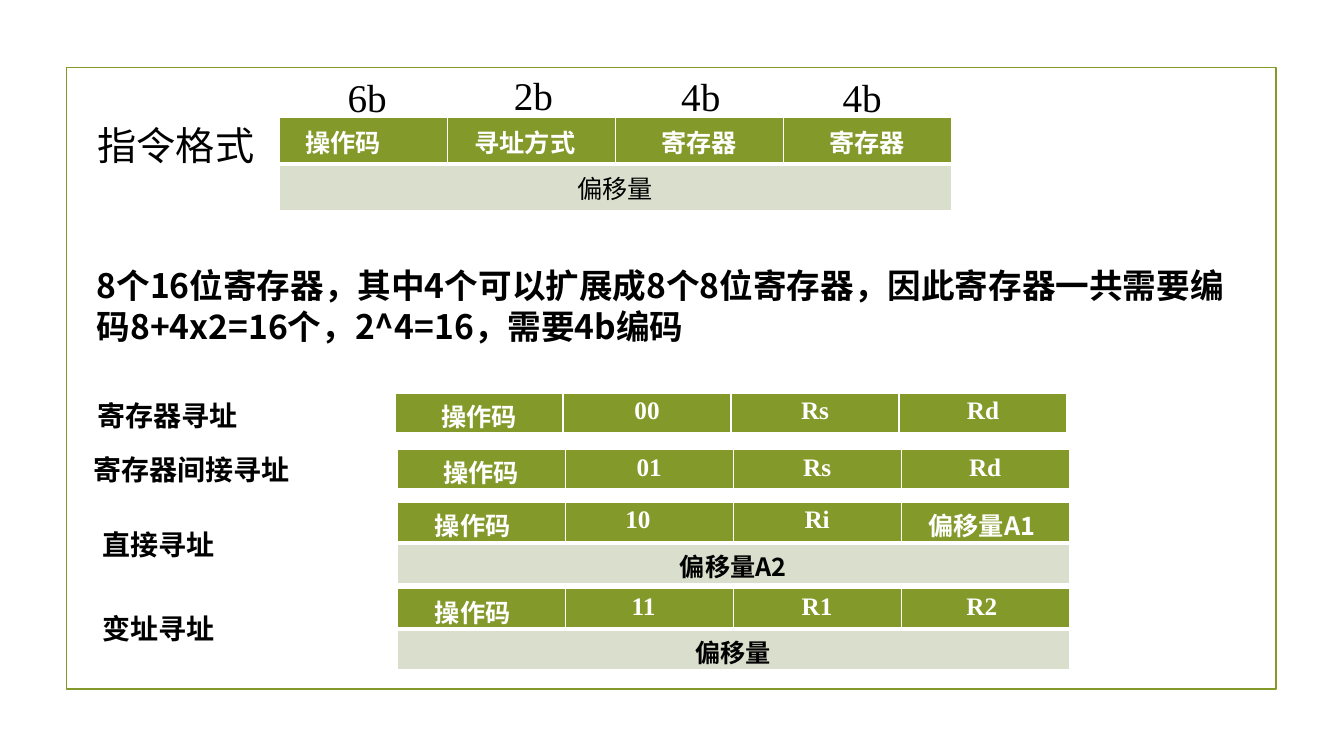
import pptx
import pptx.dml.color
import pptx.enum.shapes
import pptx.enum.text
import pptx.oxml
import pptx.oxml.ns
import pptx.util
from lxml import etree

Pt = pptx.util.Pt
ALIGN = pptx.enum.text.PP_ALIGN
ANCHOR = pptx.enum.text.MSO_ANCHOR
COLORS = {"green": "83992A", "pale": "D9DECD", "white": "FFFFFF", "black": "000000"}
SANS = "Noto Sans CJK SC"
SERIF = "Times New Roman"
COLUMN_WIDTH = 120


def rgb(name):
    return pptx.dml.color.RGBColor.from_string(COLORS[name])


def set_values(target, values):
    for name, value in values.items():
        setattr(target, name, value)


def write_text(text_frame, text, color, align=ALIGN.LEFT, line_spacing=None, **font_values):
    paragraph = text_frame.paragraphs[0]
    set_values(paragraph, {"alignment": align, "line_spacing": line_spacing})
    run = paragraph.add_run()
    run.text = text
    run.font.color.rgb = rgb(color)
    set_values(run.font, font_values)
    east_asian = etree.SubElement(run.font._element, pptx.oxml.ns.qn("a:ea"))
    east_asian.set("typeface", SANS)


def place(shape, left, top, width, height):
    set_values(shape, {"left": Pt(left), "top": Pt(top), "width": Pt(width), "height": Pt(height)})


def add_frame(slide):
    shape = slide.shapes.add_shape(
        pptx.enum.shapes.MSO_SHAPE.RECTANGLE, Pt(47.5), Pt(48.25), Pt(864), Pt(444)
    )
    shape.shadow.inherit = False
    shape.fill.background()
    shape.line.color.rgb = rgb("green")
    shape.line.width = Pt(1.25)


def fill_title(slide, text):
    title = slide.shapes.title
    place(title, 62.6, 82.8, 130, 41)
    set_values(title.text_frame, {
        "vertical_anchor": ANCHOR.TOP,
        "auto_size": pptx.enum.text.MSO_AUTO_SIZE.NONE,
        "word_wrap": True,
    })
    write_text(title.text_frame, text, "black", name=SERIF, size=Pt(28), bold=False)


def add_label(slide, text, box, wrap=False, line_spacing=None, **font_values):
    shape = slide.shapes.add_textbox(*map(Pt, box))
    shape.text_frame.word_wrap = wrap
    write_text(shape.text_frame, text, "black", line_spacing=line_spacing, **font_values)


def set_borders(cell, bottom):
    properties = cell._tc.get_or_add_tcPr()
    widths = {"lnL": 1, "lnR": 1, "lnT": 1, "lnB": bottom}
    for index, (tag, width) in enumerate(widths.items()):
        border = pptx.oxml.parse_xml(
            f'<a:{tag} {pptx.oxml.ns.nsdecls("a")} w="{Pt(width)}"><a:solidFill>'
            f'<a:srgbClr val="{COLORS["white"]}"/></a:solidFill></a:{tag}>'
        )
        properties.insert(index, border)


def style_cell(cell, fill, bottom, margins):
    cell.fill.solid()
    cell.fill.fore_color.rgb = rgb(fill)
    set_borders(cell, bottom)
    set_values(cell, {f"margin_{side}": Pt(value) for side, value in margins.items()})


def add_format_table(slide, left, top, row_height, fields, offset=None, offset_bold=True, margins=None):
    row_count = 2 if offset else 1
    table = slide.shapes.add_table(
        row_count, len(fields), Pt(left), Pt(top),
        Pt(COLUMN_WIDTH * len(fields)), Pt(row_height * row_count),
    ).table
    for column in table.columns:
        column.width = Pt(COLUMN_WIDTH)
    for row in table.rows:
        row.height = Pt(row_height)
    margins = margins or {}
    for cell, (text, font, own_margins) in zip(table.rows[0].cells, fields):
        style_cell(cell, "green", 3, {**margins, **own_margins})
        align = ALIGN.LEFT if "left" in own_margins else ALIGN.CENTER
        write_text(cell.text_frame, text, "white", align, name=font, size=Pt(18), bold=True)
    if offset:
        for cell in table.rows[1].cells:
            style_cell(cell, "pale", 1, margins)
        merged = table.cell(1, 0)
        merged.merge(table.cell(1, len(fields) - 1))
        write_text(merged.text_frame, offset, "black", ALIGN.CENTER,
                   name=SANS, size=Pt(18), bold=offset_bold)


def main():
    presentation = pptx.Presentation()
    set_values(presentation, {"slide_width": Pt(960), "slide_height": Pt(540)})
    slide = presentation.slides.add_slide(presentation.slide_layouts[5])

    add_frame(slide)
    fill_title(slide, "指令格式")
    for text, left, top in [("6b", 241.2, 49), ("2b", 360, 47.5), ("4b", 479.5, 48.2), ("4b", 594.7, 49)]:
        add_label(slide, text, (left, top, 43, 41), name=SERIF, size=Pt(28))
    add_format_table(slide, 199.5, 84.2, 33, [
        ("操作码", SANS, {"left": 18.5}),
        ("寻址方式", SANS, {"left": 19.5}),
        ("寄存器", SANS, {}),
        ("寄存器", SANS, {}),
    ], "偏移量", offset_bold=False)
    add_label(
        slide,
        "8个16位寄存器，其中4个可以扩展成8个8位寄存器，因此寄存器一共需要编码8+4x2=16个，2^4=16，需要4b编码",
        (62, 185, 837, 65.5), wrap=True, line_spacing=Pt(29.3), name=SANS, size=Pt(24), bold=True,
    )

    for text, left, top in [
        ("寄存器寻址", 62.6, 280.8), ("寄存器间接寻址", 59.8, 319.7),
        ("直接寻址", 66.2, 373), ("变址寻址", 66.2, 433.4),
    ]:
        add_label(slide, text, (left, top, len(text) * 20 + 16, 31.5), name=SERIF, size=Pt(20), bold=True)

    tight = {"top": 3, "bottom": 0}
    for code, left, top in [("00", 282.2, 280.8), ("01", 283.7, 321.1)]:
        fields = [("操作码", SANS, {})] + [(text, SERIF, {}) for text in (code, "Rs", "Rd")]
        add_format_table(slide, left, top, 29, fields, margins=tight)
    for code, indent, register, last, font, offset, top in [
        ("10", 43, "Ri", "偏移量A1", SANS, "偏移量A2", 358.6),
        ("11", 47.5, "R1", "R2", SERIF, "偏移量", 420.5),
    ]:
        add_format_table(slide, 283.7, top, 29, [
            ("操作码", SANS, {"left": 27}),
            (code, SERIF, {"left": indent}),
            (register, SERIF, {}),
            (last, font, {"right": 12}),
        ], offset, margins=tight)

    presentation.save("out.pptx")


if __name__ == "__main__":
    main()
